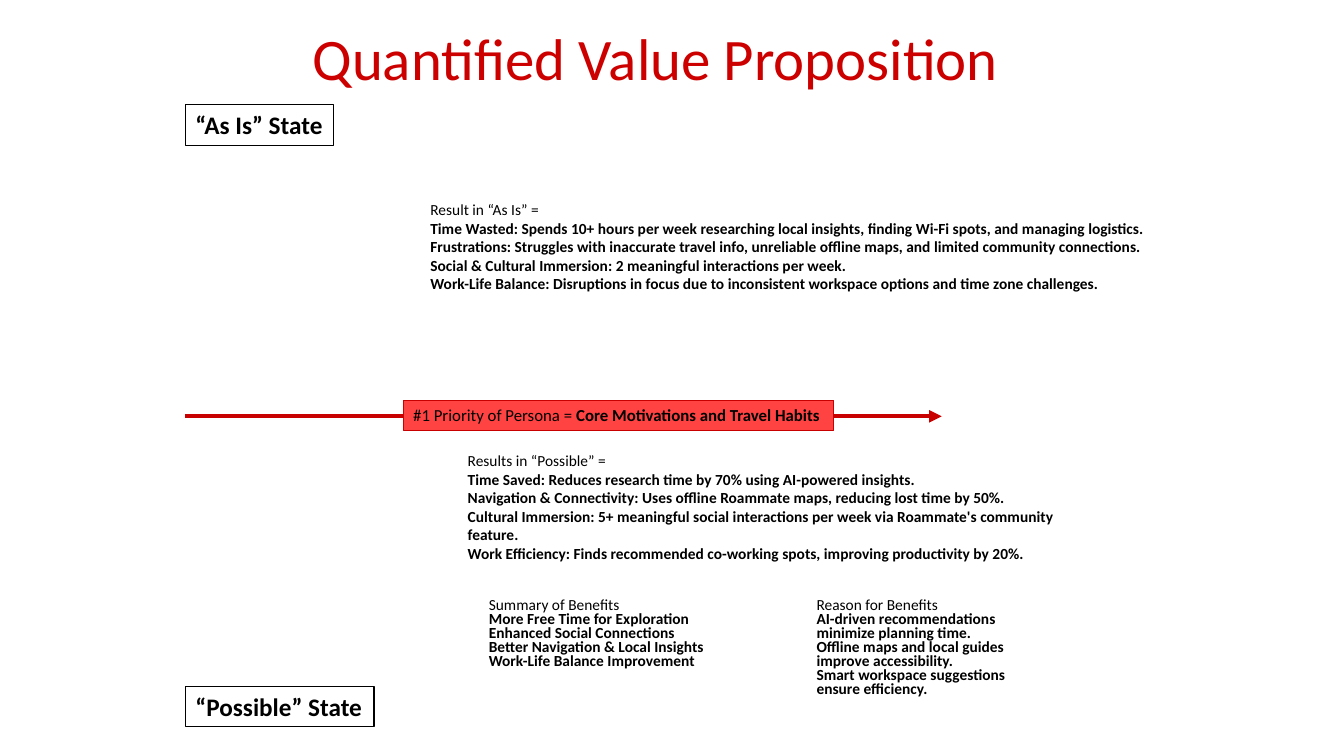
import dataclasses
import typing

import pptx
import pptx.dml.color
import pptx.enum.dml
import pptx.enum.shapes
import pptx.enum.text
import pptx.oxml.ns
import pptx.oxml.xmlchemy
import pptx.util
from lxml import etree

Inches = pptx.util.Inches
Pt = pptx.util.Pt
Align = pptx.enum.text.PP_ALIGN

BLACK = "000000"
RED = "C80000"


class Run(typing.NamedTuple):
    text: str
    bold: bool = False


Lines = list[list[Run]]


@dataclasses.dataclass
class Block:
    left: float
    top: float
    width: float
    height: float
    lines: Lines
    size: float = 11
    color: str = BLACK
    edge: str = ""
    fill: str = ""
    wrap: bool = False
    grow: bool = True
    inset: bool = True
    align: Align = Align.LEFT
    space: typing.Any = None


def paint(target: typing.Any, color: str) -> None:
    target.rgb = pptx.dml.color.RGBColor.from_string(color)


def listed(head: str, *items: str) -> Lines:
    """A plain heading over bold lines."""
    return [[Run(head)]] + [[Run(item, True)] for item in items]


def write(frame: typing.Any, block: Block) -> None:
    frame.word_wrap = block.wrap
    frame.vertical_anchor = pptx.enum.text.MSO_ANCHOR.TOP
    if block.grow:
        frame.auto_size = pptx.enum.text.MSO_AUTO_SIZE.SHAPE_TO_FIT_TEXT
    if not block.inset:
        frame.margin_left = frame.margin_right = 0
        frame.margin_top = frame.margin_bottom = 0
    for index, line in enumerate(block.lines):
        para = frame.add_paragraph() if index else frame.paragraphs[0]
        para.alignment = block.align
        para.line_spacing = block.space
        for part in line:
            run = para.add_run()
            run.text = part.text
            run.font.name = "Calibri"
            run.font.size = Pt(block.size)
            run.font.bold = part.bold
            paint(run.font.color, block.color)


def draw(slide: typing.Any, block: Block) -> None:
    area = [Inches(n) for n in (block.left, block.top, block.width, block.height)]
    if block.edge:
        rect = pptx.enum.shapes.MSO_SHAPE.RECTANGLE
        shape = slide.shapes.add_shape(rect, *area)
        shape.shadow.inherit = False
        paint(shape.line.color, block.edge)
        shape.line.width = Pt(0.75)
        if block.fill:
            shape.fill.solid()
            paint(shape.fill.fore_color, block.fill)
        else:
            shape.fill.background()
    else:
        shape = slide.shapes.add_textbox(*area)
    write(shape.text_frame, block)


def arrow(slide: typing.Any, left: float, right: float, top: float) -> None:
    kind = pptx.enum.shapes.MSO_CONNECTOR.STRAIGHT
    link = slide.shapes.add_connector(
        kind, Inches(left), Inches(top), Inches(right), Inches(top))
    paint(link.line.color, RED)
    link.line.width = Pt(3)
    qn = pptx.oxml.ns.qn
    etree.SubElement(link.line._get_or_add_ln(), qn("a:tailEnd"), type="triangle")
    etree.SubElement(link._element.spPr, qn("a:effectLst"))


BLOCKS = [
    # State labels
    Block(1.84, 1.04, 1.47, 0.4, [[Run("“As Is” State", True)]], 18, edge=BLACK),
    Block(1.84, 6.81, 1.87, 0.4, [[Run("“Possible” State", True)]], 18, edge=BLACK),
    # Title
    Block(2, 0.29, 9, 1.42, [[Run("Quantified Value Proposition")]], 42, "CD0000",
          wrap=True, grow=False, inset=False, align=Align.CENTER, space=0.9),
    # Priority on the arrow
    Block(4, 3.97, 4.27, 0.3,
          [[Run("#1 Priority of Persona = "),
            Run("Core Motivations and Travel Habits", True)]],
          12, edge=RED, fill="FF4343"),
    # Results
    Block(4.17, 1.94, 7.36, 1.03, listed(
        "Result in “As Is” =",
        "Time Wasted: Spends 10+ hours per week researching local insights, "
        "finding Wi-Fi spots, and managing logistics.",
        "Frustrations: Struggles with inaccurate travel info, unreliable "
        "offline maps, and limited community connections.",
        "Social & Cultural Immersion: 2 meaningful interactions per week.",
        "Work-Life Balance: Disruptions in focus due to inconsistent "
        "workspace options and time zone challenges.")),
    Block(4.54, 4.43, 6.55, 1.21, listed(
        "Results in “Possible” =",
        "Time Saved: Reduces research time by 70% using AI-powered insights.",
        "Navigation & Connectivity: Uses offline Roammate maps, "
        "reducing lost time by 50%.",
        "Cultural Immersion: 5+ meaningful social interactions per week "
        "via Roammate's community feature.",
        "Work Efficiency: Finds recommended co-working spots, "
        "improving productivity by 20%.")),
    # Benefits and reasons
    Block(8, 5.9, 2.35, 1.09, listed(
        "Reason for Benefits",
        "AI-driven recommendations minimize planning time.",
        "Offline maps and local guides improve accessibility.",
        "Smart workspace suggestions ensure efficiency."),
        wrap=True, space=Pt(10)),
    Block(4.75, 5.9, 2.37, 0.95, listed(
        "Summary of Benefits",
        "More Free Time for Exploration",
        "Enhanced Social Connections",
        "Better Navigation & Local Insights",
        "Work-Life Balance Improvement"), space=Pt(10)),
]


def main() -> None:
    deck = pptx.Presentation()
    deck.slide_width = Inches(13.33)
    deck.slide_height = Inches(7.5)
    slide = deck.slides.add_slide(deck.slide_layouts[6])
    arrow(slide, 1.84, 9.34, 4.13)
    for block in BLOCKS:
        draw(slide, block)
    deck.save("out.pptx")


if __name__ == "__main__":
    main()
